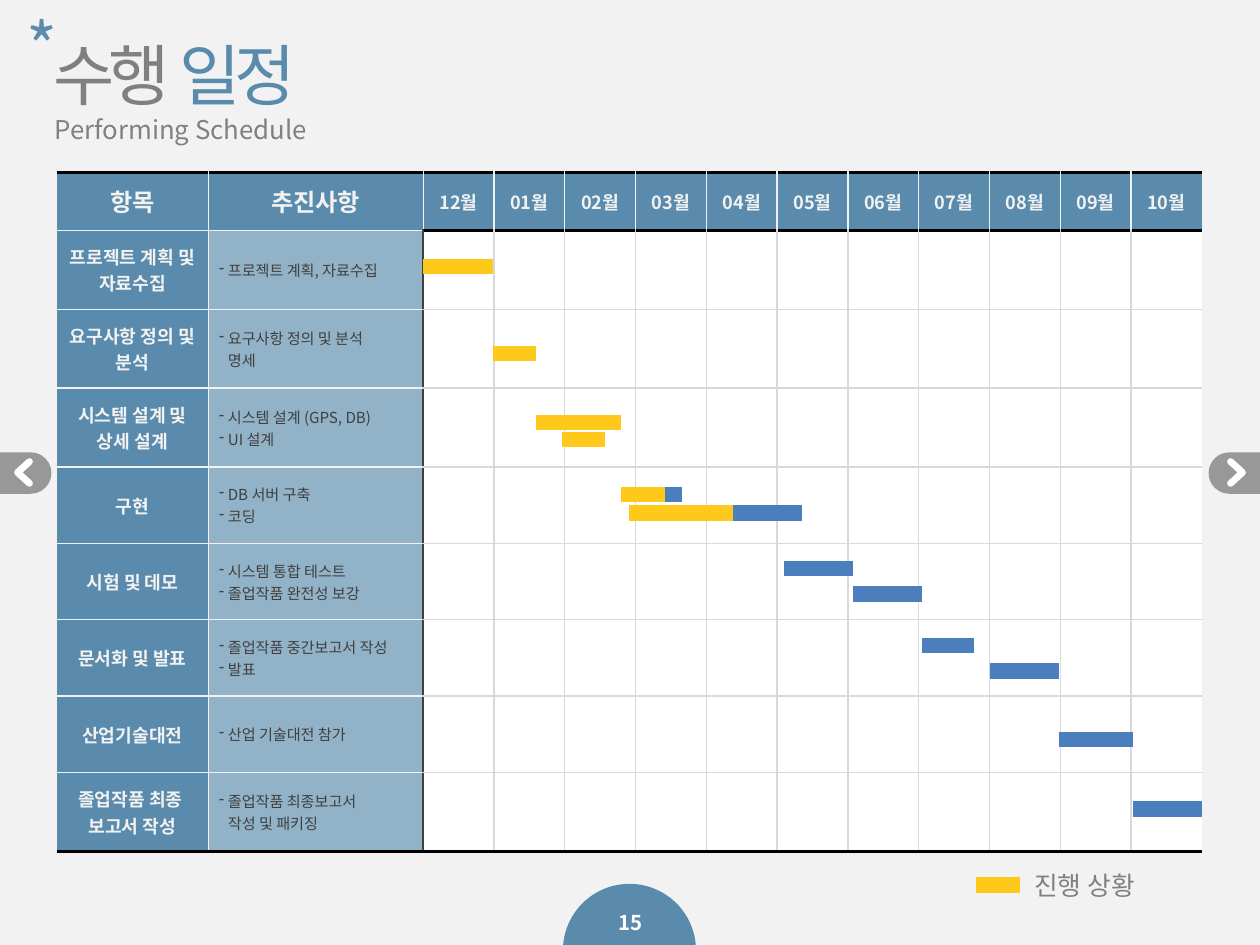
"""Builds the project schedule slide with its Gantt table."""
import pptx
import pptx.chart.data
import pptx.dml.color
import pptx.enum.shapes
import pptx.enum.text
import pptx.oxml.ns
import pptx.util
from lxml import etree

RGBColor = pptx.dml.color.RGBColor
BLUE = RGBColor(0x5A, 0x8B, 0xAC)
PALE_BLUE = RGBColor(0x92, 0xB2, 0xC8)
PLAN_BLUE = RGBColor(0x4B, 0x7E, 0xBC)
YELLOW = RGBColor(0xFF, 0xC9, 0x1B)
GRAY = RGBColor(0x80, 0x80, 0x80)
DARK = RGBColor(0x40, 0x40, 0x40)
GRID = RGBColor(0xD9, 0xD9, 0xD9)
LIGHT = RGBColor(0xF2, 0xF2, 0xF2)
WHITE = RGBColor(0xFF, 0xFF, 0xFF)
BLACK = RGBColor(0, 0, 0)

FONT = "Noto Sans CJK KR"
WIDTH = pptx.util.Inches(11.55)
HEIGHT = pptx.util.Inches(8.66)
LEFT = pptx.enum.text.PP_ALIGN.LEFT
CENTER = pptx.enum.text.PP_ALIGN.CENTER
MIDDLE = pptx.enum.text.MSO_ANCHOR.MIDDLE
HANGING = pptx.util.Inches(0.08)

TABLE_LEFT, TABLE_TOP = 4.5, 18.24
MONTH_WIDTH = 5.62
COLUMNS = [12.03, 17.06] + [MONTH_WIDTH] * 11
ROWS = [6.12] + [8.36] * 3 + [8.08] * 4 + [8.36]
HEADERS = ["항목", "추진사항"] + [f"{month:02}월" for month in [12, *range(1, 11)]]
TASKS = [
    (["프로젝트 계획 및 자료수집"], ["- 프로젝트 계획, 자료수집"]),
    (["요구사항 정의 및 분석"], ["- 요구사항 정의 및 분석", "명세"]),
    (["시스템 설계 및 상세 설계"], ["- 시스템 설계 (GPS, DB)", "- UI 설계"]),
    (["구현"], ["- DB 서버 구축", "- 코딩"]),
    (["시험 및 데모"], ["- 시스템 통합 테스트", "- 졸업작품 완전성 보강"]),
    (["문서화 및 발표"], ["- 졸업작품 중간보고서 작성", "- 발표"]),
    (["산업기술대전"], ["- 산업 기술대전 참가"]),
    (["졸업작품 최종 ", "보고서 작성"], ["- 졸업작품 최종보고서", "작성 및 패키징"]),
]
# Each bar: table row, share of the row's height, then start, end and progress in months.
BARS = [
    (1, 0.46, 0, 0.99, 0.99), (2, 0.56, 0.99, 1.59, 1.59),
    (3, 0.43, 1.59, 2.8, 2.8), (3, 0.65, 1.96, 2.56, 2.56),
    (4, 0.36, 2.8, 3.65, 3.41), (4, 0.6, 2.91, 5.35, 4.38),
    (5, 0.33, 5.1, 6.07, 5.1), (5, 0.66, 6.07, 7.04, 6.07),
    (6, 0.34, 7.04, 7.78, 7.04), (6, 0.67, 8.01, 8.98, 8.01),
    (7, 0.57, 8.98, 10.03, 8.98), (8, 0.46, 10.03, 11, 10.03),
]


def across(percent):
    """Turn a percentage of the slide's width into a length."""
    return round(WIDTH * percent / 100)


def down(percent):
    """Turn a percentage of the slide's height into a length."""
    return round(HEIGHT * percent / 100)


def box(left, top, width, height):
    """Turn four percentages into a position and size."""
    return across(left), down(top), across(width), down(height)


def add_child(parent, tag, **attributes):
    """Append a drawing element with the given attributes."""
    return etree.SubElement(parent, pptx.oxml.ns.qn(f"a:{tag}"), **attributes)


def write(paragraph, text, size=12, color=LIGHT, bold=False, align=LEFT, spacing=None):
    """Add a formatted run to a paragraph."""
    paragraph.alignment = align
    run = paragraph.add_run()
    run.text = text
    run.font.size = pptx.util.Pt(size)
    run.font.bold = bold
    run.font.color.rgb = color
    run.font.name = FONT
    properties = run.font._element
    add_child(properties, "ea", typeface=FONT)
    if spacing is not None:
        properties.set("spc", str(spacing * 100))


def prepare_frame(shape, position):
    """Place a text shape, clear its margins and return its first paragraph."""
    shape.left, shape.top, shape.width, shape.height = position
    frame = shape.text_frame
    frame.auto_size = pptx.enum.text.MSO_AUTO_SIZE.NONE
    frame.word_wrap = True
    frame.vertical_anchor = MIDDLE
    frame.margin_left = frame.margin_right = frame.margin_top = frame.margin_bottom = 0
    return frame.paragraphs[0]


def add_label(slide, position, text, **style):
    """Add a text box holding one line."""
    write(prepare_frame(slide.shapes.add_textbox(*position), position), text, **style)


def set_indent(paragraph, margin, indent, bullet=None):
    """Set a paragraph's indents and its bullet."""
    properties = paragraph._p.get_or_add_pPr()
    properties.set("marL", str(margin))
    properties.set("indent", str(indent))
    if bullet:
        add_child(properties, "buChar", char=bullet)
    else:
        add_child(properties, "buNone")


def add_shape(slide, kind, position, color):
    """Add a plain filled preset shape."""
    shape = slide.shapes.add_shape(kind, *position)
    shape.shadow.inherit = False
    shape.fill.solid()
    shape.fill.fore_color.rgb = color
    shape.line.fill.background()
    return shape


def add_bar(slide, start, end, height, color):
    """Add a thick horizontal line between two percentages."""
    bar = slide.shapes.add_connector(pptx.enum.shapes.MSO_CONNECTOR.STRAIGHT,
                                     across(start), down(height), across(end), down(height))
    bar.line.color.rgb = color
    bar.line.width = pptx.util.Pt(10)
    add_child(bar._element.spPr, "effectLst")


def add_navigation(slide, rotation, mirrored):
    """Add a half-transparent side tab with a chevron."""
    tab = add_shape(slide, pptx.enum.shapes.MSO_SHAPE.ROUND_2_SAME_RECTANGLE,
                    box(96.31 if mirrored else 0.4, 47.34, 3.29, 5.43), DARK)
    tab.adjustments[0], tab.adjustments[1] = 0.5, 0
    tab.rotation = rotation
    color = tab.fill._xPr.find(".//" + pptx.oxml.ns.qn("a:srgbClr"))
    add_child(color, "alpha", val="50000")
    points = [(across(100 - x if mirrored else x), down(y))
              for x, y in [(2.34, 48.85), (1.39, 50), (2.34, 51.15)]]
    builder = slide.shapes.build_freeform(*points[0])
    builder.add_line_segments(points[1:], close=False)
    chevron = builder.convert_to_shape()
    chevron.shadow.inherit = False
    chevron.fill.background()
    chevron.line.color.rgb = WHITE
    chevron.line.width = pptx.util.Pt(4.5)
    outline = chevron.line._get_or_add_ln()
    outline.set("cap", "rnd")
    add_child(outline, "round")


def horizontal_edge(edge, column):
    """Give the colour and width of a horizontal table rule."""
    if edge in (0, len(ROWS)) or (edge == 1 and column > 1):
        return BLACK, 2
    return (LIGHT if column < 2 else GRID), 1


def vertical_edge(edge, row):
    """Give the colour and width of a vertical table rule."""
    if edge in (0, len(COLUMNS)):
        return None, 1
    if row == 0 or edge == 1:
        return LIGHT, 1
    return (DARK, 1.5) if edge == 2 else (GRID, 1)


def format_cell(cell, row, column):
    """Fill a table cell and draw its four borders."""
    cell.vertical_anchor = MIDDLE
    cell.fill.solid()
    cell.fill.fore_color.rgb = (BLUE if row == 0 or column == 0
                                else PALE_BLUE if column == 1 else WHITE)
    properties = cell._tc.get_or_add_tcPr()
    edges = {"lnL": vertical_edge(column, row), "lnR": vertical_edge(column + 1, row),
             "lnT": horizontal_edge(row, column), "lnB": horizontal_edge(row + 1, column)}
    for index, (tag, (color, width)) in enumerate(edges.items()):
        border = add_child(properties, tag, w=str(pptx.util.Pt(width)))
        if color is None:
            add_child(border, "noFill")
        else:
            add_child(add_child(border, "solidFill"), "srgbClr", val=str(color))
        properties.insert(index, border)


def write_cell(cell, lines, **style):
    """Write a cell's lines, turning leading dashes into bullets."""
    frame = cell.text_frame
    for index, line in enumerate(lines):
        paragraph = frame.add_paragraph() if index else frame.paragraphs[0]
        write(paragraph, line.removeprefix("- "), **style)
        if line.startswith("- "):
            set_indent(paragraph, HANGING, -HANGING, "-")
        elif style.get("align") != CENTER:
            set_indent(paragraph, HANGING, 0)


def add_schedule(slide):
    """Add the schedule table and the bars over its months."""
    table = slide.shapes.add_table(len(ROWS), len(COLUMNS), *box(
        TABLE_LEFT, TABLE_TOP, sum(COLUMNS), sum(ROWS))).table
    table.first_row = table.horz_banding = False
    for column, width in enumerate(COLUMNS):
        table.columns[column].width = across(width)
    for row, height in enumerate(ROWS):
        table.rows[row].height = down(height)
        for column in range(len(COLUMNS)):
            format_cell(table.cell(row, column), row, column)
    for column, header in enumerate(HEADERS):
        write_cell(table.cell(0, column), [header], size=16 if column < 2 else 12,
                   bold=True, align=CENTER)
    for row, (names, details) in enumerate(TASKS, 1):
        write_cell(table.cell(row, 0), names, bold=True, align=CENTER)
        write_cell(table.cell(row, 1), details, size=10, color=DARK)
    months_left = TABLE_LEFT + sum(COLUMNS[:2])
    for row, share, *months in BARS:
        start, end, progress = [months_left + month * MONTH_WIDTH for month in months]
        height = TABLE_TOP + sum(ROWS[:row]) + share * ROWS[row]
        if progress < end:
            add_bar(slide, start, end, height, PLAN_BLUE)
        if progress > start:
            add_bar(slide, start, progress, height, YELLOW)


def main():
    """Build and save the slide."""
    presentation = pptx.Presentation()
    presentation.slide_width, presentation.slide_height = WIDTH, HEIGHT
    slide = presentation.slides.add_slide(presentation.slide_layouts[1])
    slide.background.fill.solid()
    slide.background.fill.fore_color.rgb = LIGHT
    title = prepare_frame(slide.shapes.title, box(4.24, 4.39, 62.42, 6.93))
    write(title, "수행 ", size=44, color=GRAY, spacing=-4)
    write(title, "일정", size=44, color=BLUE, spacing=-4)
    subtitle = prepare_frame(slide.placeholders[1], box(4.33, 12.12, 62.34, 3.12))
    write(subtitle, "Performing Schedule", size=17, color=GRAY)
    set_indent(subtitle, 0, 0)
    add_label(slide, box(2.08, 1.85, 3.46, 6), "*", size=44, color=BLUE, spacing=-4)
    page_tab = add_shape(slide, pptx.enum.shapes.MSO_SHAPE.CHORD,
                         box(44.68, 93.53, 10.56, 14.09), BLUE)
    page_tab.adjustments[0], page_tab.adjustments[1] = 110.57, 213.41
    add_label(slide, box(47.62, 96.42, 4.85, 2.31), "15", size=13.5, color=WHITE,
              bold=True, align=CENTER)
    add_navigation(slide, 90, mirrored=False)
    add_navigation(slide, 270, mirrored=True)
    add_schedule(slide)
    add_bar(slide, 77.49, 80.95, 93.65, YELLOW)
    add_label(slide, box(82.08, 92.15, 14.98, 3.12), "진행 상황", size=17, color=GRAY)
    presentation.save("out.pptx")


if __name__ == "__main__":
    main()
